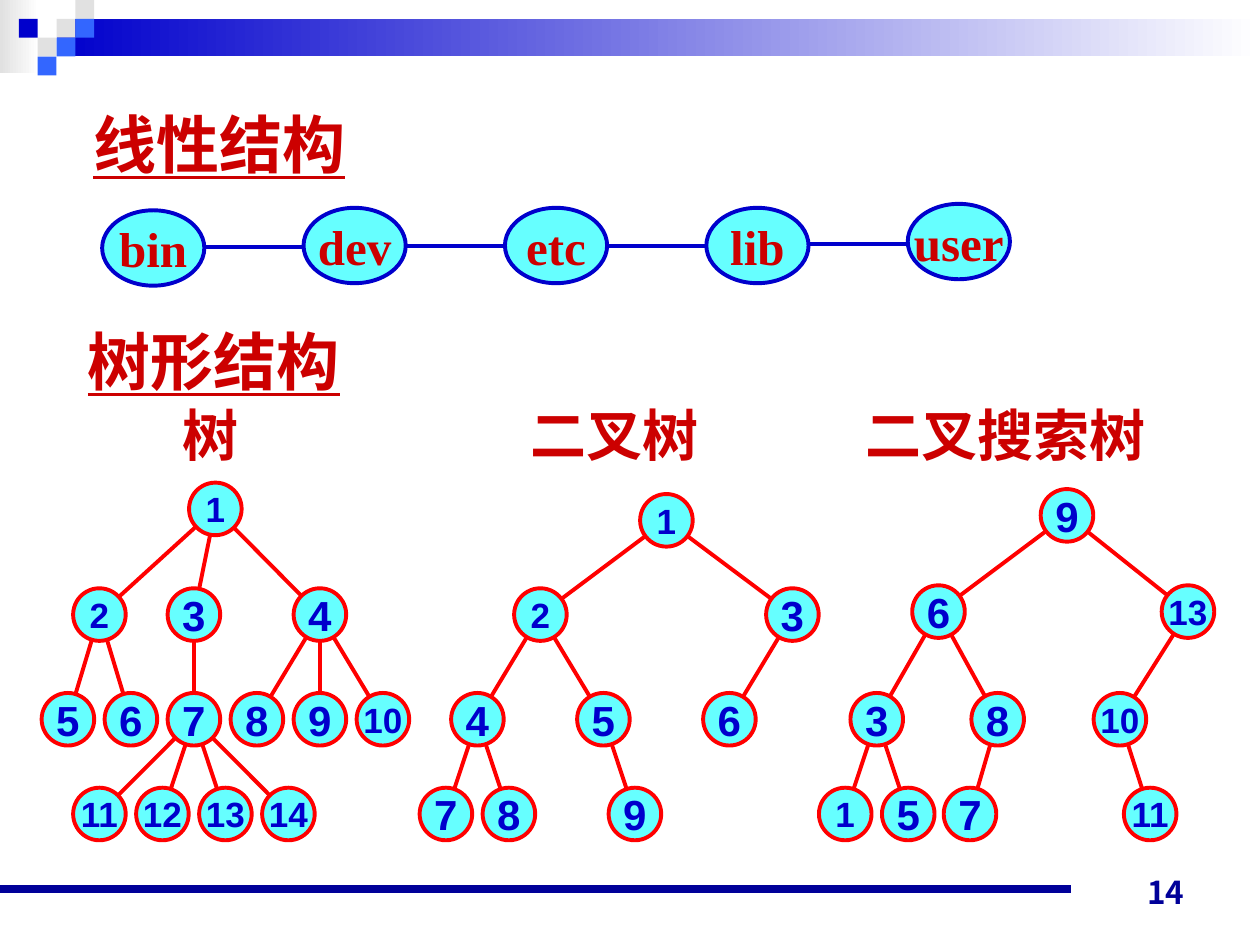
from math import hypot

from lxml import etree
from pptx import Presentation
from pptx.dml.color import RGBColor
from pptx.enum.shapes import MSO_CONNECTOR, MSO_SHAPE
from pptx.enum.text import MSO_ANCHOR, MSO_AUTO_SIZE, PP_ALIGN
from pptx.oxml.ns import qn
from pptx.util import Cm, Pt

RECT, OVAL = MSO_SHAPE.RECTANGLE, MSO_SHAPE.OVAL
STRAIGHT = MSO_CONNECTOR.STRAIGHT
TOP, MIDDLE, BOTTOM = MSO_ANCHOR.TOP, MSO_ANCHOR.MIDDLE, MSO_ANCHOR.BOTTOM
LEFT, CENTER, RIGHT = PP_ALIGN.LEFT, PP_ALIGN.CENTER, PP_ALIGN.RIGHT
NO_AUTOFIT = MSO_AUTO_SIZE.NONE

WHITE = RGBColor(0xFF, 0xFF, 0xFF)
GREY = RGBColor(0xE1, 0xE1, 0xE1)
BLUE = RGBColor(0x00, 0x00, 0xCC)
LIGHT_BLUE = RGBColor(0x33, 0x66, 0xFF)
NAVY = RGBColor(0x00, 0x00, 0x99)
CYAN = RGBColor(0x66, 0xFF, 0xFF)
RED = RGBColor(0xFF, 0x00, 0x00)
DARK_RED = RGBColor(0xCC, 0x00, 0x00)

SANS, SERIF, CJK = "Arial", "Times New Roman", "Noto Sans CJK SC"

NODE_SIZE = 1.06
COLUMN_STEP = 1.27

# label: (column, level, parent)
TREE = {
    "1": (2.34, 0, None),
    "2": (0.5, 1, "1"), "3": (2, 1, "1"), "4": (4, 1, "1"),
    "5": (0, 2, "2"), "6": (1, 2, "2"), "7": (2, 2, "3"),
    "8": (3, 2, "4"), "9": (4, 2, "4"), "10": (5, 2, "4"),
    "11": (0.5, 3, "7"), "12": (1.5, 3, "7"),
    "13": (2.5, 3, "7"), "14": (3.5, 3, "7"),
}
BINARY_TREE = {
    "1": (3.5, 0, None),
    "2": (1.5, 1, "1"), "3": (5.5, 1, "1"),
    "4": (0.5, 2, "2"), "5": (2.5, 2, "2"), "6": (4.5, 2, "3"),
    "7": (0, 3, "4"), "8": (1, 3, "4"), "9": (3, 3, "5"),
}
SEARCH_TREE = {
    "9": (3.52, 0, None),
    "6": (1.48, 1, "9"), "13": (5.44, 1, "9"),
    "3": (0.5, 2, "6"), "8": (2.42, 2, "6"), "10": (4.36, 2, "13"),
    "1": (0, 3, "3"), "5": (1, 3, "3"), "7": (1.98, 3, "8"),
    "11": (4.84, 3, "10"),
}
# name and top of each ellipse within the chain
DIRECTORIES = [("bin", 0.13), ("dev", 0.08), ("etc", 0.08), ("lib", 0.08), ("user", 0)]


def write(frame, text, size, font_name, color, align=LEFT, anchor=MIDDLE,
          underline=None, tabs=()):
    frame.auto_size = NO_AUTOFIT
    frame.vertical_anchor = anchor
    frame.text = text
    paragraph = frame.paragraphs[0]
    paragraph.alignment = align
    if tabs:
        stops = etree.SubElement(paragraph._p.get_or_add_pPr(), qn("a:tabLst"))
        for position in tabs:
            etree.SubElement(stops, qn("a:tab"), pos=str(Cm(position)), algn="l")
    font = paragraph.font
    font.name, font.size, font.bold = font_name, Pt(size), True
    font.color.rgb = color
    font.underline = underline


def add_text(slide, box, text, size, font_name, color, **options):
    frame = slide.shapes.add_textbox(*map(Cm, box)).text_frame
    frame.word_wrap = True
    write(frame, text, size, font_name, color, **options)


def add_line(slide, start, end, color, width=2.25):
    line = slide.shapes.add_connector(STRAIGHT, *map(Cm, (*start, *end)))
    line.line.color.rgb = color
    line.line.width = Pt(width)
    etree.SubElement(line._element.spPr, qn("a:effectLst"))


def add_block(slide, box, color, fade=False):
    """Borderless rectangle, fading to white on the right if asked."""
    block = slide.shapes.add_shape(RECT, *map(Cm, box))
    block.shadow.inherit = False
    block.line.fill.background()
    if fade:
        block.fill.gradient()
        block.fill.gradient_angle = 0
        for stop, stop_color in zip(block.fill.gradient_stops, (color, WHITE)):
            stop.color.rgb = stop_color
    else:
        block.fill.solid()
        block.fill.fore_color.rgb = color


def add_node(slide, box, label, outline, size, font_name, color):
    node = slide.shapes.add_shape(OVAL, *map(Cm, box))
    node.shadow.inherit = False
    node.fill.solid()
    node.fill.fore_color.rgb = CYAN
    node.line.color.rgb = outline
    node.line.width = Pt(2.25)
    frame = node.text_frame
    frame.word_wrap = False
    frame.margin_left = frame.margin_right = frame.margin_top = frame.margin_bottom = 0
    write(frame, label, size, font_name, color, align=CENTER)


def add_header(slide, left, top, width, unit=0.38):
    """Fading band with a mosaic of squares at its left end."""
    add_block(slide, (left, top, 0.79, 1.47), GREY, fade=True)
    band_left = 3 * unit
    add_block(slide, (left + band_left, top + unit, width - band_left, 2 * unit),
              BLUE, fade=True)
    for column, row, color in [(3, 1, GREY), (4, 0, GREY), (4, 1, LIGHT_BLUE),
                               (2, 2, GREY), (1, 1, BLUE), (3, 2, LIGHT_BLUE),
                               (2, 3, LIGHT_BLUE)]:
        add_block(slide, (left + column * unit, top + row * unit, unit, unit), color)


def add_footer(slide, left, top, width):
    add_line(slide, (left, top + 0.71), (left + 0.85 * width, top + 0.71), NAVY, 4.5)
    add_text(slide, (left + 18.21, top, 5.92, 1.27), "14", 18, CJK, NAVY,
             align=RIGHT, anchor=BOTTOM)


def add_chain(slide, left, top, step=4.06, width=2.06, height=1.52):
    for index, (name, drop) in enumerate(DIRECTORIES):
        node_left = left + index * step
        if index:
            y = top + (drop + DIRECTORIES[index - 1][1] + height) / 2
            add_line(slide, (node_left - step + width, y), (node_left, y), BLUE)
        add_node(slide, (node_left, top + drop, width, height), name,
                 BLUE, 28, SERIF, DARK_RED)


def add_tree(slide, left, top, level_tops, nodes):
    """Edges run between the rims of the circles, along the line of centres."""
    radius = NODE_SIZE / 2
    centres = {label: (left + column * COLUMN_STEP + radius,
                       top + level_tops[level] + radius)
               for label, (column, level, _) in nodes.items()}
    for label, (_, _, parent) in nodes.items():
        if parent:
            (x1, y1), (x2, y2) = centres[parent], centres[label]
            share = radius / hypot(x2 - x1, y2 - y1)
            dx, dy = (x2 - x1) * share, (y2 - y1) * share
            add_line(slide, (x1 + dx, y1 + dy), (x2 - dx, y2 - dy), RED)
    for label, (x, y) in centres.items():
        size = 20 if len(label) == 2 or label in "12" else 24
        add_node(slide, (x - radius, y - radius, NODE_SIZE, NODE_SIZE), label,
                 RED, size, SANS, BLUE)


def add_headings(slide, left, top):
    title = slide.shapes.title
    title.left, title.top, title.width, title.height = map(
        Cm, (left + 0.16, top, 19.48, 2.46))
    write(title.text_frame, "线性结构", 36, SANS, DARK_RED, underline=True)
    add_text(slide, (left + 0.05, top + 4.34, 21.59, 2.54), "树形结构", 36, SERIF,
             DARK_RED, underline=True)
    add_text(slide, (left + 1.95, top + 6.3, 21.49, 1.68), "树\t二叉树\t二叉搜索树",
             32, CJK, DARK_RED, anchor=TOP, tabs=(7.03, 13.77))


def main():
    presentation = Presentation()
    presentation.slide_width, presentation.slide_height = Cm(25.4), Cm(19.05)
    slide = presentation.slides.add_slide(presentation.slide_layouts[5])
    add_header(slide, 0, 0, 25.4)
    add_footer(slide, 0, 17.22, 25.4)
    add_headings(slide, 1.47, 1.65)
    add_chain(slide, 2.06, 4.11)
    add_tree(slide, 0.84, 9.73, (0, 2.13, 4.24, 6.15), TREE)
    add_tree(slide, 8.46, 9.96, (0, 1.9, 4.01, 5.92), BINARY_TREE)
    add_tree(slide, 16.51, 9.86, (0, 1.94, 4.11, 6.02), SEARCH_TREE)
    presentation.save("out.pptx")


if __name__ == "__main__":
    main()
